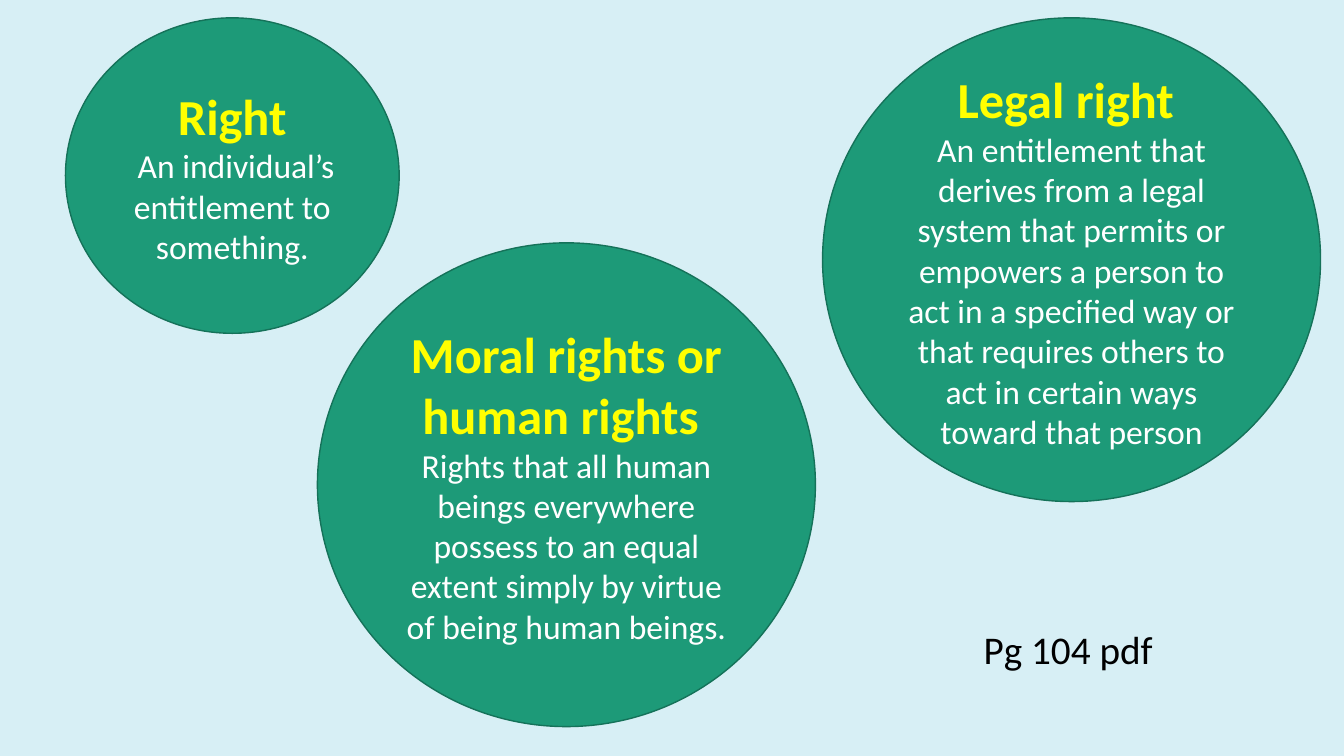
from dataclasses import dataclass

from pptx import Presentation
from pptx.dml.color import RGBColor
from pptx.enum.shapes import MSO_SHAPE
from pptx.enum.text import MSO_ANCHOR, PP_ALIGN
from pptx.slide import Slide
from pptx.text.text import TextFrame
from pptx.util import Cm, Pt

OVAL = MSO_SHAPE.OVAL
MIDDLE = MSO_ANCHOR.MIDDLE
CENTER, LEFT = PP_ALIGN.CENTER, PP_ALIGN.LEFT
BLANK = 6


@dataclass(frozen=True)
class Theme:
    font: str = "Calibri"
    back: str = "D7EFF5"
    fill: str = "1D9A78"
    edge: str = "157259"
    term: str = "FFFF00"
    body: str = "FFFFFF"
    note: str = "000000"
    term_size: int = 36
    body_size: int = 24
    note_size: int = 28


@dataclass(frozen=True)
class Circle:
    left: float
    top: float
    width: float
    height: float
    term: str
    body: str


THEME = Theme()
LARGE = (12.55, 12.19)
CIRCLES = [
    Circle(1.65, 0.45, 8.41, 7.95, "Right",
           " An individual’s entitlement to something."),
    Circle(20.73, 0.45, *LARGE, "Legal right ",
           "An entitlement that derives from a legal system that permits or "
           "empowers a person to act in a specified way or that requires "
           "others to act in certain ways toward that person"),
    Circle(8, 6.12, *LARGE, "Moral rights or human rights ",
           "Rights that all human beings everywhere possess to an equal "
           "extent simply by virtue of being human beings."),
]


def color(code: str) -> RGBColor:
    return RGBColor.from_string(code)


def write(frame: TextFrame, text: str, *, size: int, ink: str,
          bold: bool = False, align: PP_ALIGN = LEFT) -> None:
    """Fill the empty first paragraph, or add one after the existing text."""
    para = frame.add_paragraph() if frame.text else frame.paragraphs[0]
    para.alignment = align
    run = para.add_run()
    run.text = text
    run.font.name = THEME.font
    run.font.size = Pt(size)
    run.font.bold = bold
    run.font.color.rgb = color(ink)


def draw_circle(slide: Slide, item: Circle) -> None:
    shape = slide.shapes.add_shape(OVAL, Cm(item.left), Cm(item.top),
                                   Cm(item.width), Cm(item.height))
    shape.shadow.inherit = False
    shape.fill.solid()
    shape.fill.fore_color.rgb = color(THEME.fill)
    shape.line.color.rgb = color(THEME.edge)
    shape.line.width = Pt(1)
    frame = shape.text_frame
    frame.word_wrap = True
    frame.vertical_anchor = MIDDLE
    write(frame, item.term, size=THEME.term_size, ink=THEME.term,
          bold=True, align=CENTER)
    write(frame, item.body, size=THEME.body_size, ink=THEME.body,
          align=CENTER)


def draw_note(slide: Slide, text: str) -> None:
    box = slide.shapes.add_textbox(Cm(24.54), Cm(15.62), Cm(8.08), Cm(1.45))
    box.text_frame.word_wrap = True
    write(box.text_frame, text, size=THEME.note_size, ink=THEME.note)


def main() -> None:
    deck = Presentation()
    deck.slide_width, deck.slide_height = Cm(33.87), Cm(19.05)
    slide = deck.slides.add_slide(deck.slide_layouts[BLANK])
    slide.background.fill.solid()
    slide.background.fill.fore_color.rgb = color(THEME.back)
    for item in CIRCLES:
        draw_circle(slide, item)
    draw_note(slide, "Pg 104 pdf")
    deck.save("out.pptx")


if __name__ == "__main__":
    main()
